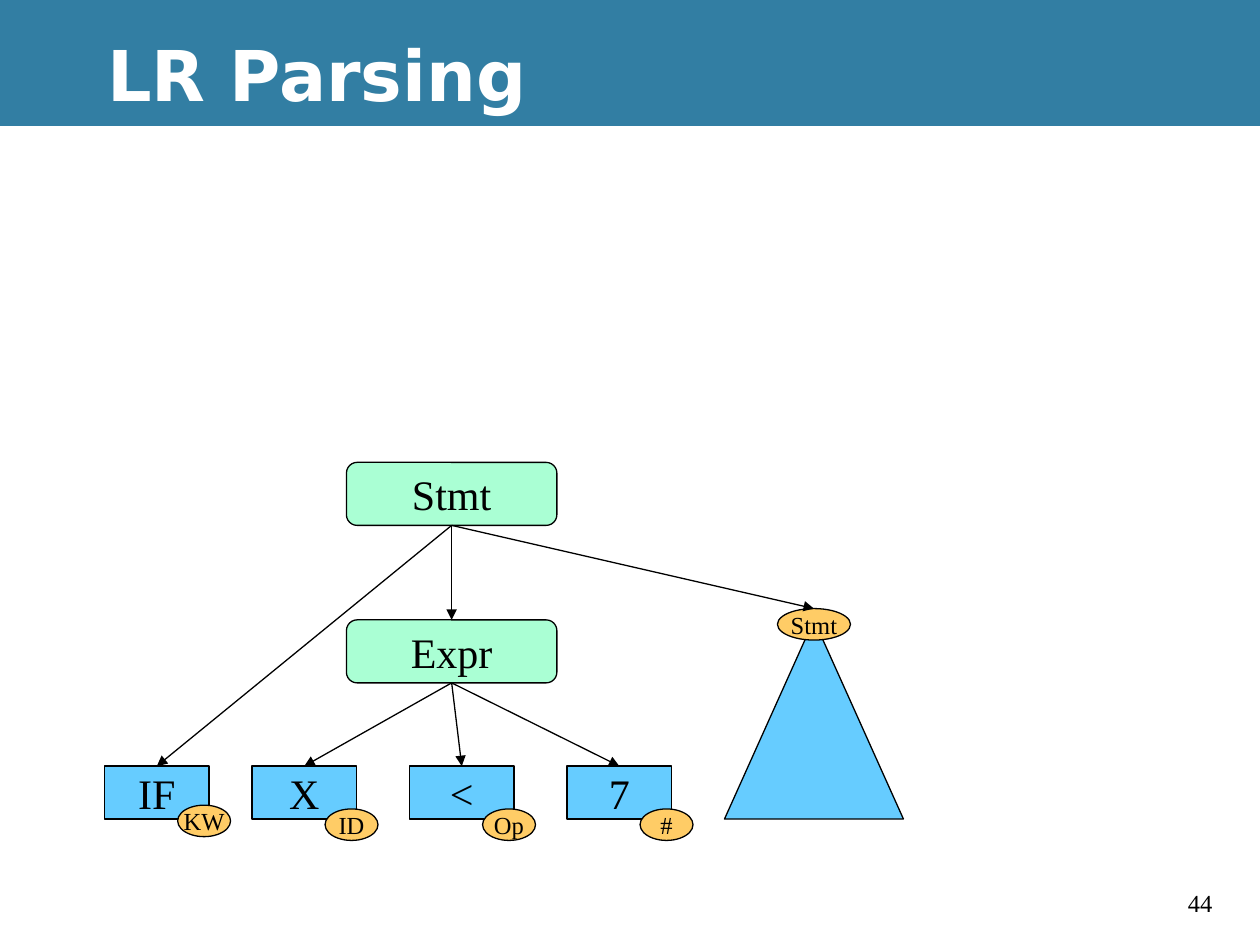
from dataclasses import dataclass

from lxml import etree
from pptx import Presentation
from pptx import util as u
from pptx.dml.color import RGBColor
from pptx.enum import shapes, text
from pptx.oxml import ns

TOP, BOTTOM = 0, 2


@dataclass(frozen=True)
class Theme:
    """Colours, fonts and type sizes of the deck."""

    band: str = "327EA3"
    paper: str = "FFFFFF"
    ink: str = "000000"
    token: str = "66CCFF"
    badge: str = "FFCC66"
    rule: str = "AAFFD4"
    title_font: str = "DejaVu Sans"
    body_font: str = "Times New Roman"
    title_size: int = 40
    node_size: int = 24
    small_size: int = 14
    line_width: float = 0.75


class TreeSlide:
    """Draws parse-tree elements on one slide in one style."""

    def __init__(self, deck, theme):
        self.theme = theme
        self.page = deck.slides.add_slide(deck.slide_layouts[5])
        fill = self.page.background.fill
        fill.solid()
        fill.fore_color.rgb = RGBColor.from_string(theme.paper)

    def add_span(self, frame, words, size, font=None, colour=None, bold=False):
        """Put one styled run in a text frame."""
        para = frame.paragraphs[0]
        span = para.add_run()
        span.text = words
        span.font.size = u.Pt(size)
        span.font.name = font or self.theme.body_font
        span.font.bold = bold
        span.font.color.rgb = RGBColor.from_string(colour or self.theme.ink)
        return para

    def title(self, words):
        """Place the title on its coloured band."""
        title = self.page.shapes.title
        title.left, title.top = u.Inches(0.75), u.Inches(0.08)
        title.width, title.height = u.Inches(9.25), u.Inches(1)
        title.text_frame.vertical_anchor = text.MSO_ANCHOR.MIDDLE
        para = self.add_span(title.text_frame, words, self.theme.title_size,
                             self.theme.title_font, self.theme.paper, True)
        para.alignment = text.PP_ALIGN.LEFT
        band = self.shape(shapes.MSO_SHAPE.RECTANGLE, (0, 0, 10, 1), self.theme.band)
        band.line.fill.background()
        title.element.addprevious(band.element)

    def number(self, words):
        """Place the slide number."""
        box = self.page.shapes.add_textbox(
            u.Inches(9.33), u.Inches(7), u.Inches(0.5), u.Inches(0.33))
        box.text_frame.word_wrap = True
        self.add_span(box.text_frame, words, self.theme.small_size)

    def shape(self, kind, place, colour, words="", size=None, group=None):
        """Add an outlined shape with an optional centred label."""
        parent = group or self.page
        shape = parent.shapes.add_shape(kind, *map(u.Inches, place))
        shape.shadow.inherit = False
        shape.fill.solid()
        shape.fill.fore_color.rgb = RGBColor.from_string(colour)
        shape.line.color.rgb = RGBColor.from_string(self.theme.ink)
        shape.line.width = u.Pt(self.theme.line_width)
        if words:
            frame = shape.text_frame
            frame.word_wrap = False
            frame.vertical_anchor = text.MSO_ANCHOR.MIDDLE
            para = self.add_span(frame, words, size)
            para.alignment = text.PP_ALIGN.CENTER
        return shape

    def badge(self, group, place, words):
        """Add an oval category label."""
        return self.shape(shapes.MSO_SHAPE.OVAL, place, self.theme.badge,
                          words, self.theme.small_size, group)

    def token(self, left, words, category, badge_top=6.42):
        """Add a token box with its category badge."""
        group = self.page.shapes.add_group_shape()
        box = self.shape(shapes.MSO_SHAPE.RECTANGLE, (left, 6.08, 0.83, 0.42),
                         self.theme.token, words, self.theme.node_size, group)
        self.badge(group, (left + 0.58, badge_top, 0.42, 0.25), category)
        return box

    def rule(self, top, words):
        """Add a rounded node for a grammar rule."""
        node = self.shape(shapes.MSO_SHAPE.ROUNDED_RECTANGLE, (2.75, top, 1.67, 0.5),
                          self.theme.rule, words, self.theme.node_size)
        node.adjustments[0] = 0.17
        return node

    def subtree(self, words):
        """Add a triangle for a collapsed subtree and return its root."""
        group = self.page.shapes.add_group_shape()
        self.shape(shapes.MSO_SHAPE.ISOSCELES_TRIANGLE, (5.75, 4.92, 1.42, 1.58),
                   self.theme.token, group=group)
        return self.badge(group, (6.17, 4.83, 0.58, 0.25), words)

    def arrow(self, parent, child):
        """Join a parent node to a child with an arrow."""
        arrow = self.page.shapes.add_connector(shapes.MSO_CONNECTOR.STRAIGHT, 0, 0, 0, 0)
        arrow.begin_connect(parent, BOTTOM)
        arrow.end_connect(child, TOP)
        arrow.line.color.rgb = RGBColor.from_string(self.theme.ink)
        arrow.line.width = u.Pt(self.theme.line_width)
        properties = arrow.element.spPr
        outline = properties.find(ns.qn("a:ln"))
        etree.SubElement(outline, ns.qn("a:tailEnd"), type="triangle")
        etree.SubElement(properties, ns.qn("a:effectLst"))


def main():
    deck = Presentation()
    deck.slide_width, deck.slide_height = u.Inches(10), u.Inches(7.5)
    slide = TreeSlide(deck, Theme())
    slide.title("LR Parsing")
    slide.number("44")

    keyword = slide.token(0.83, "IF", "KW", 6.39)
    operands = [slide.token(2 + 1.25 * column, words, category)
                for column, (words, category)
                in enumerate([("X", "ID"), ("<", "Op"), ("7", "#")])]
    expression = slide.rule(4.92, "Expr")
    statement = slide.rule(3.67, "Stmt")
    body = slide.subtree("Stmt")

    for parent, children in [(expression, operands),
                             (statement, [keyword, expression, body])]:
        for child in children:
            slide.arrow(parent, child)

    deck.save("out.pptx")


if __name__ == "__main__":
    main()
